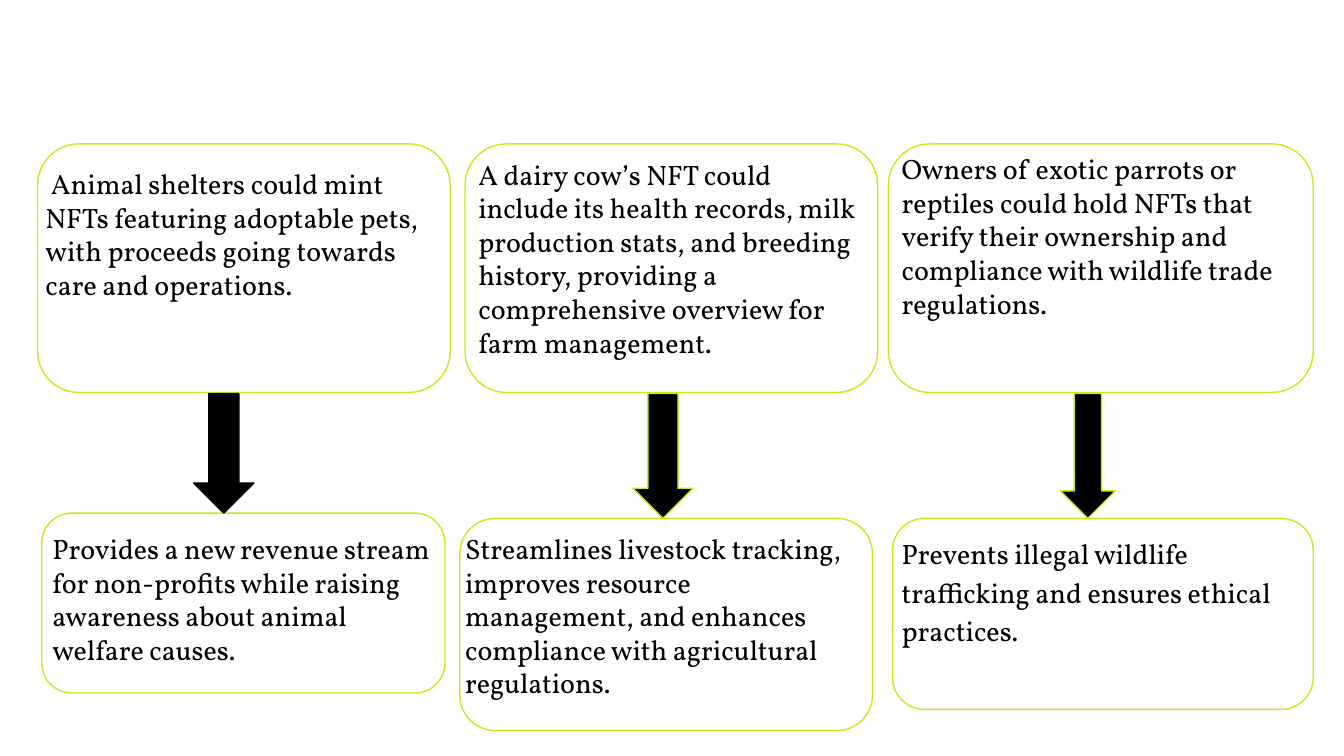
from dataclasses import dataclass

from pptx import Presentation
from pptx.dml.color import RGBColor
from pptx.enum.shapes import MSO_SHAPE
from pptx.util import Cm, Pt

BLACK = RGBColor(0x00, 0x00, 0x00)
LIME = RGBColor(0xBF, 0xEE, 0x1D)
FONT = "Vollkorn"
TEXT_WIDTH, TEXT_HEIGHT, TEXT_INSET = 7.8, 2.72, 0.25


@dataclass
class Box:
    """Hold a rectangle in centimetres."""
    left: float
    top: float
    width: float
    height: float

    def lengths(self):
        """Return the four sides as slide lengths."""
        return Cm(self.left), Cm(self.top), Cm(self.width), Cm(self.height)


@dataclass
class Card:
    """Hold a card's box, its wording and the text offset inside it."""
    box: Box
    text: str
    offset: tuple = (0, 0)
    line_spacing: float = 1.0


COLUMNS = [
    (
        Card(Box(0.71, 2.72, 7.8, 4.7),
             " Animal shelters could mint NFTs featuring adoptable pets, "
             "with proceeds going towards care and operations.", (-0.1, 0.18)),
        Card(Box(0.79, 9.7, 7.62, 3.4),
             "Provides a new revenue stream for non-profits while raising "
             "awareness about animal welfare causes.", (-0.05, 0.1)),
        Box(3.66, 7.44, 1.14, 2.26), BLACK,
    ),
    (
        Card(Box(8.79, 2.72, 7.8, 4.7),
             "A dairy cow’s NFT could include its health records, milk "
             "production stats, and breeding history, providing a "
             "comprehensive overview for farm management."),
        Card(Box(8.69, 9.8, 7.8, 4.01),
             "Streamlines livestock tracking, improves resource management, "
             "and enhances compliance with agricultural regulations.",
             (-0.15, 0)),
        Box(11.96, 7.44, 1.14, 2.36), LIME,
    ),
    (
        Card(Box(16.79, 2.72, 8.03, 4.7),
             "Owners of exotic parrots or reptiles could hold NFTs that "
             "verify their ownership and compliance with wildlife trade "
             "regulations.", (0, -0.1)),
        Card(Box(16.87, 9.8, 7.95, 3.61),
             "Prevents illegal wildlife trafficking and ensures ethical "
             "practices.", (-0.08, 0), 1.15),
        Box(20.04, 7.44, 1.04, 2.36), LIME,
    ),
]


def add_outlined_shape(slide, kind, box, line_color):
    """Add a shadowless preset shape with a thin outline."""
    shape = slide.shapes.add_shape(kind, *box.lengths())
    shape.shadow.inherit = False
    shape.line.color.rgb = line_color
    shape.line.width = Pt(0.75)
    return shape


def add_card(slide, card):
    """Add a card's text and its rounded outline."""
    text_box = Box(card.box.left + card.offset[0], card.box.top + card.offset[1],
                   TEXT_WIDTH, TEXT_HEIGHT)
    frame = slide.shapes.add_textbox(*text_box.lengths()).text_frame
    frame.word_wrap = True
    frame.margin_left = frame.margin_right = Cm(TEXT_INSET)
    frame.margin_top = frame.margin_bottom = Cm(TEXT_INSET)
    paragraph = frame.paragraphs[0]
    paragraph.line_spacing = card.line_spacing
    run = paragraph.add_run()
    run.text = card.text
    run.font.name = FONT
    run.font.size = Pt(15)
    run.font.color.rgb = BLACK
    outline = add_outlined_shape(slide, MSO_SHAPE.ROUNDED_RECTANGLE, card.box, LIME)
    outline.fill.background()


def add_arrow(slide, box, line_color):
    """Add a black arrow pointing from the upper card to the lower one."""
    arrow = add_outlined_shape(slide, MSO_SHAPE.DOWN_ARROW, box, line_color)
    arrow.fill.solid()
    arrow.fill.fore_color.rgb = BLACK


def add_column(slide, use_case, benefit, arrow_box, arrow_line):
    """Add a use case, its benefit and the arrow between them."""
    add_card(slide, use_case)
    add_card(slide, benefit)
    add_arrow(slide, arrow_box, arrow_line)


def main():
    """Build and save the presentation."""
    presentation = Presentation()
    presentation.slide_width = Cm(25.4)
    presentation.slide_height = Cm(14.29)
    slide = presentation.slides.add_slide(presentation.slide_layouts[6])
    for column in COLUMNS:
        add_column(slide, *column)
    presentation.save("out.pptx")


if __name__ == "__main__":
    main()
